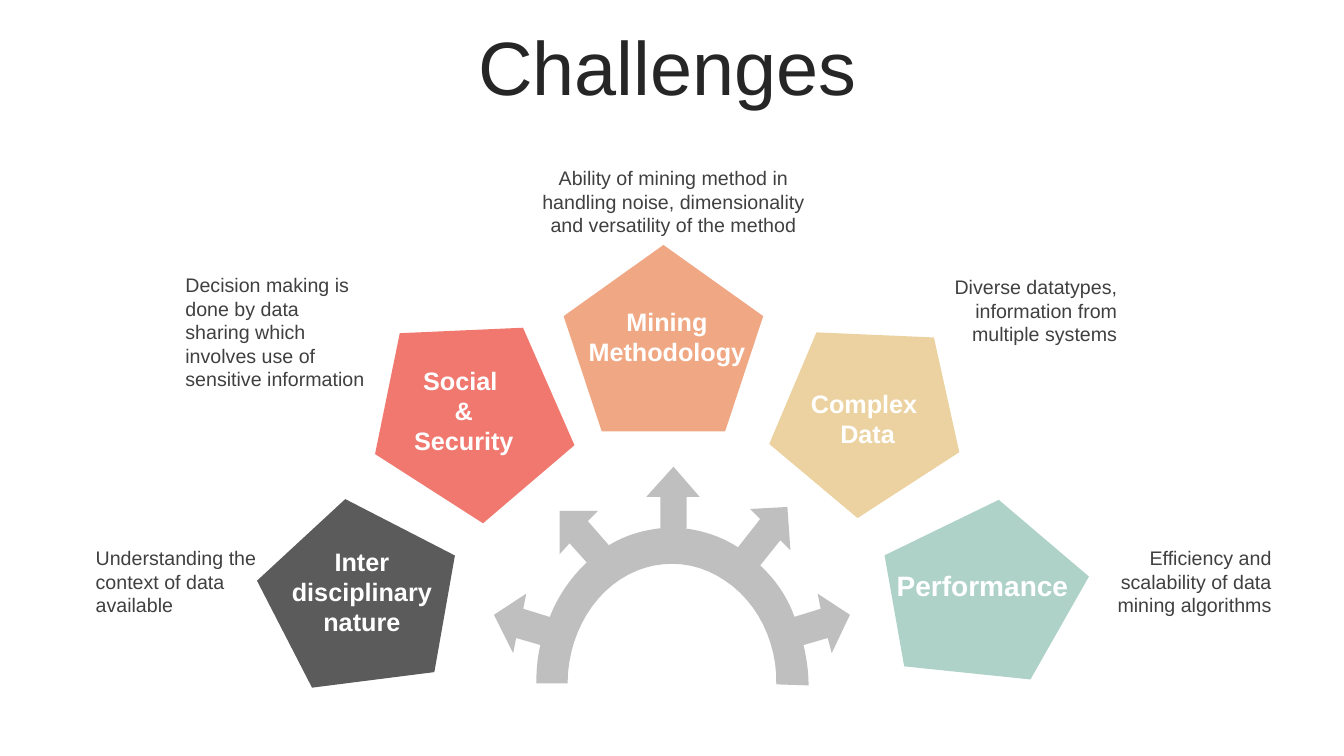
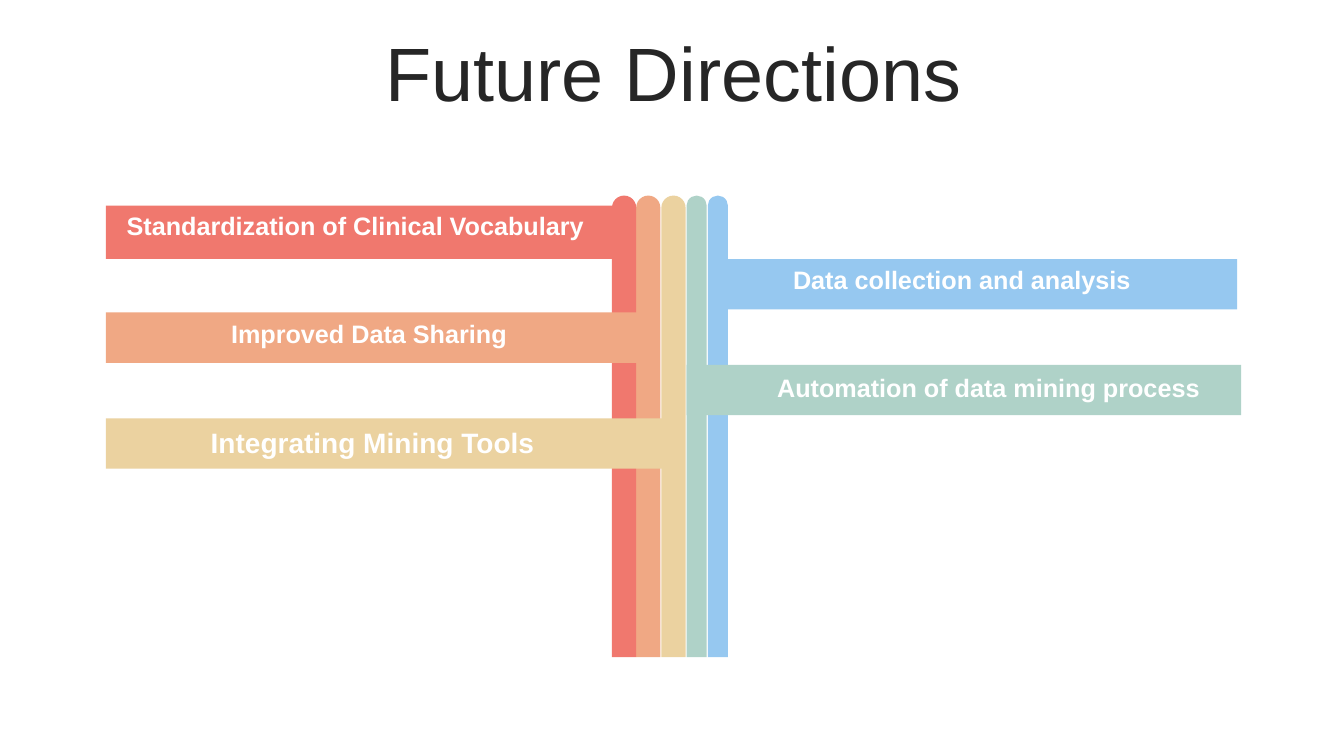
from pptx import Presentation
from pptx import util as u
from pptx.dml.color import RGBColor
from pptx.enum import shapes, text

PX = 9144
FONT = "Arial"
COLOURS = {
    "red": "F0786E",
    "orange": "F0A884",
    "sand": "EBD2A0",
    "mint": "AFD2C8",
    "blue": "96C8F0",
    "charcoal": "5B5B5B",
    "grey": "BFBFBF",
    "title": "262626",
    "body": "404040",
    "white": "FFFFFF",
}
LEFT, CENTRE, RIGHT = text.PP_ALIGN.LEFT, text.PP_ALIGN.CENTER, text.PP_ALIGN.RIGHT
PENTAGON = shapes.MSO_SHAPE.REGULAR_PENTAGON
PILLAR = shapes.MSO_SHAPE.ROUND_2_SAME_RECTANGLE
BAND = shapes.MSO_SHAPE.RECTANGLE

TOPICS = [
    ("orange", (559, 243, 198, 185), 0),
    ("sand", (774, 313, 185, 186), 40),
    ("mint", (893, 491, 181, 196), 80),
    ("red", (364, 307, 193, 197), 319.5),
    ("charcoal", (253, 498, 190, 189), 280),
]
TOPIC_LABELS = [
    (["Mining Methodology"], (571, 299, 181, 101), 18),
    (["Social ", "& Security"], (394, 357, 132, 101), 18),
    (["Inter", "disciplinary nature"], (271, 537, 176, 101), 18),
    (["Complex ", "Data"], (773, 380, 175, 71), 18),
    (["Performance "], (876, 559, 197, 44), 20),
]
EXPLANATIONS = [
    ("Understanding the context of data available", (85, 537, 198, 81), LEFT),
    ("Decision making is done by data sharing which involves use of sensitive information",
     (174, 266, 198, 128), LEFT),
    ("Efficiency and scalability of data mining algorithms", (1073, 537, 198, 81), RIGHT),
    ("Diverse datatypes, information from multiple systems", (920, 268, 198, 81), RIGHT),
    ("Ability of mining method in handling noise, dimensionality and versatility of the method",
     (526, 160, 284, 81), CENTRE),
]
ARROW_ARCH = [
    (668, 463), (694, 493), (681, 493), (681, 524), (677, 524),
    (696, 526, 715, 532, 732, 543),
    (754, 515), (744, 505), (781, 503), (784, 546), (774, 536), (754, 561),
    (769, 575, 781, 592, 788, 612),
    (814, 604), (811, 589), (843, 610), (825, 648), (821, 633), (797, 640),
    (800, 653, 802, 666, 802, 680),
    (770, 679),
    (771, 637, 751, 597, 719, 576),
    (687, 554, 647, 554, 615, 575),
    (583, 596, 563, 636, 563, 678),
    (532, 678),
    (532, 665, 533, 652, 536, 640),
    (512, 633), (509, 648), (490, 610), (522, 589), (519, 604), (545, 612),
    (545, 613),
    (553, 592, 566, 573, 582, 558),
    (565, 539), (555, 550), (555, 507), (593, 507), (583, 517), (604, 541),
    (620, 531, 638, 526, 656, 524),
    (655, 524), (655, 493), (641, 493),
]

PILLARS = [("blue", 702, 20), ("mint", 681, 20), ("sand", 656, 24),
           ("orange", 631, 24), ("red", 607, 24)]
DIRECTIONS = [
    ("blue", (707, 257, 520, 50), "Data collection and analysis", (731, 257, 446, 40), 18),
    ("mint", (681, 362, 550, 50), "Automation of data mining process", (726, 364, 509, 40), 18),
    ("red", (105, 204, 521, 53), "Standardization of Clinical Vocabulary",
     (104, 204, 497, 40), 18),
    ("orange", (105, 310, 544, 50), "Improved Data Sharing", (126, 311, 480, 40), 18),
    ("sand", (105, 415, 563, 50), "Integrating Mining Tools", (134, 417, 471, 44), 20),
]


def rgb(colour):
    return RGBColor.from_string(COLOURS[colour])


def emu(lengths):
    return [u.Emu(round(length * PX)) for length in lengths]


def trace(outline, steps=12):
    points = [outline[0]]
    for segment in outline[1:]:
        if len(segment) == 2:
            points.append(segment)
            continue
        x0, y0 = points[-1]
        x1, y1, x2, y2, x3, y3 = segment
        for step in range(1, steps + 1):
            t = step / steps
            a, b, c, d = (1 - t) ** 3, 3 * t * (1 - t) ** 2, 3 * t * t * (1 - t), t ** 3
            points.append((a * x0 + b * x1 + c * x2 + d * x3,
                           a * y0 + b * y1 + c * y2 + d * y3))
    return points


class Deck:
    def __init__(self, width, height):
        self.file = Presentation()
        self.file.slide_width, self.file.slide_height = emu((width, height))
        self.slide = None

    def new_slide(self, title, left, top):
        self.slide = self.file.slides.add_slide(self.file.slide_layouts[6])
        frame = self.words([title], (left, top, 1266, 79), 54, "title", CENTRE)
        frame.vertical_anchor = text.MSO_ANCHOR.MIDDLE
        heading = frame.paragraphs[0]
        heading.line_spacing = 0.9
        heading.space_before = u.Pt(10)

    def words(self, lines, box, size, colour, align, bold=False):
        frame = self.slide.shapes.add_textbox(*emu(box)).text_frame
        frame.word_wrap = True
        frame.text = "\n".join(lines)
        for paragraph in frame.paragraphs:
            paragraph.alignment = align
            font = paragraph.font
            font.name, font.size, font.bold = FONT, u.Pt(size), bold
            font.color.rgb = rgb(colour)
        return frame

    def label(self, lines, box, size):
        self.words(lines, box, size, "white", CENTRE, bold=True)

    def paint(self, shape, colour):
        shape.shadow.inherit = False
        shape.fill.solid()
        shape.fill.fore_color.rgb = rgb(colour)
        shape.line.fill.background()
        return shape

    def block(self, kind, box, colour, rotation=0):
        shape = self.paint(self.slide.shapes.add_shape(kind, *emu(box)), colour)
        shape.rotation = rotation
        return shape

    def outline(self, segments, colour):
        start, *rest = [emu(point) for point in trace(segments)]
        builder = self.slide.shapes.build_freeform(*start, scale=1.0)
        builder.add_line_segments(rest, close=True)
        self.paint(builder.convert_to_shape(), colour)


def challenges(deck):
    deck.new_slide("Challenges", 29, 31)
    deck.outline(ARROW_ARCH, "grey")
    for colour, box, rotation in TOPICS:
        deck.block(PENTAGON, box, colour, rotation)
    for lines, box, size in TOPIC_LABELS:
        deck.label(lines, box, size)
    for explanation, box, align in EXPLANATIONS:
        deck.words([explanation], box, 14, "body", align)


def future_directions(deck):
    deck.new_slide("Future Directions", 35, 37)
    for colour, left, width in PILLARS:
        pillar = deck.block(PILLAR, (left, 194, width, 458), colour)
        pillar.adjustments[0] = 0.5
    for colour, band, direction, label_box, size in DIRECTIONS:
        deck.block(BAND, band, colour)
        deck.label([direction], label_box, size)


def main():
    deck = Deck(1333, 750)
    challenges(deck)
    future_directions(deck)
    deck.file.save("out.pptx")


if __name__ == "__main__":
    main()
